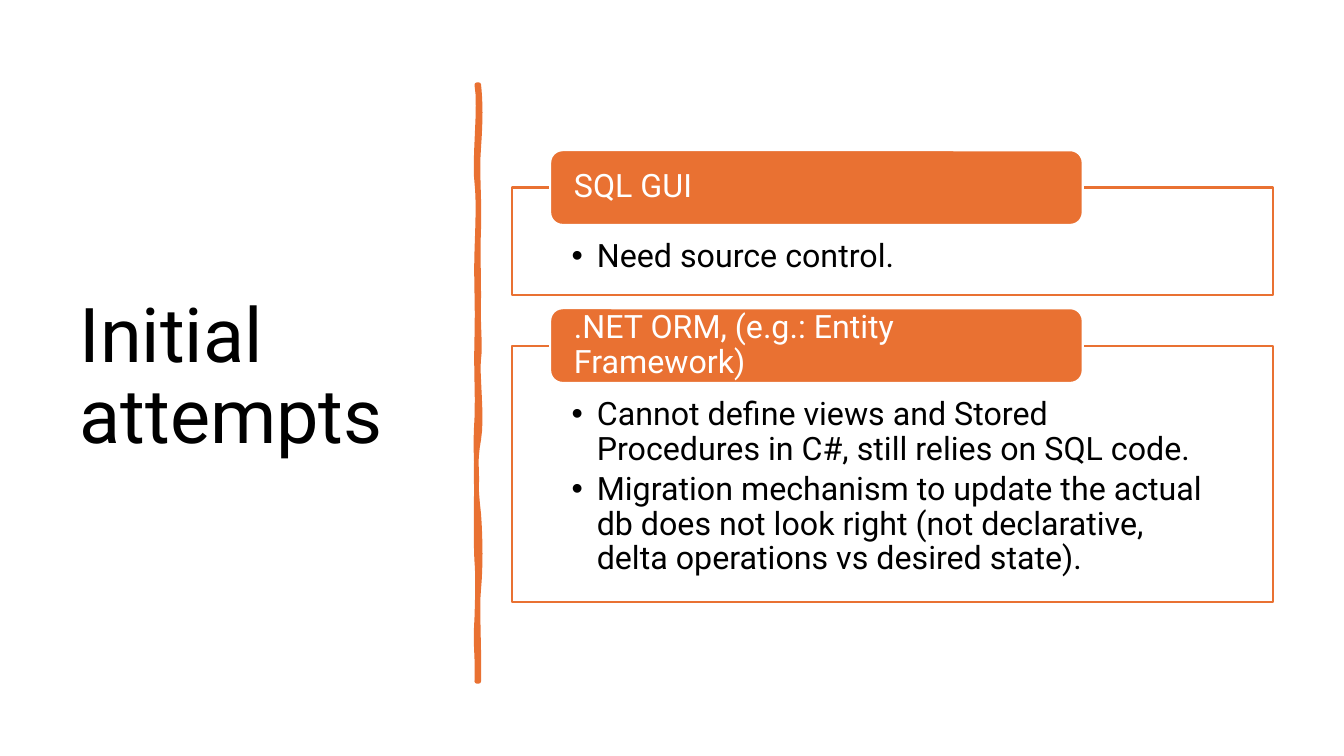
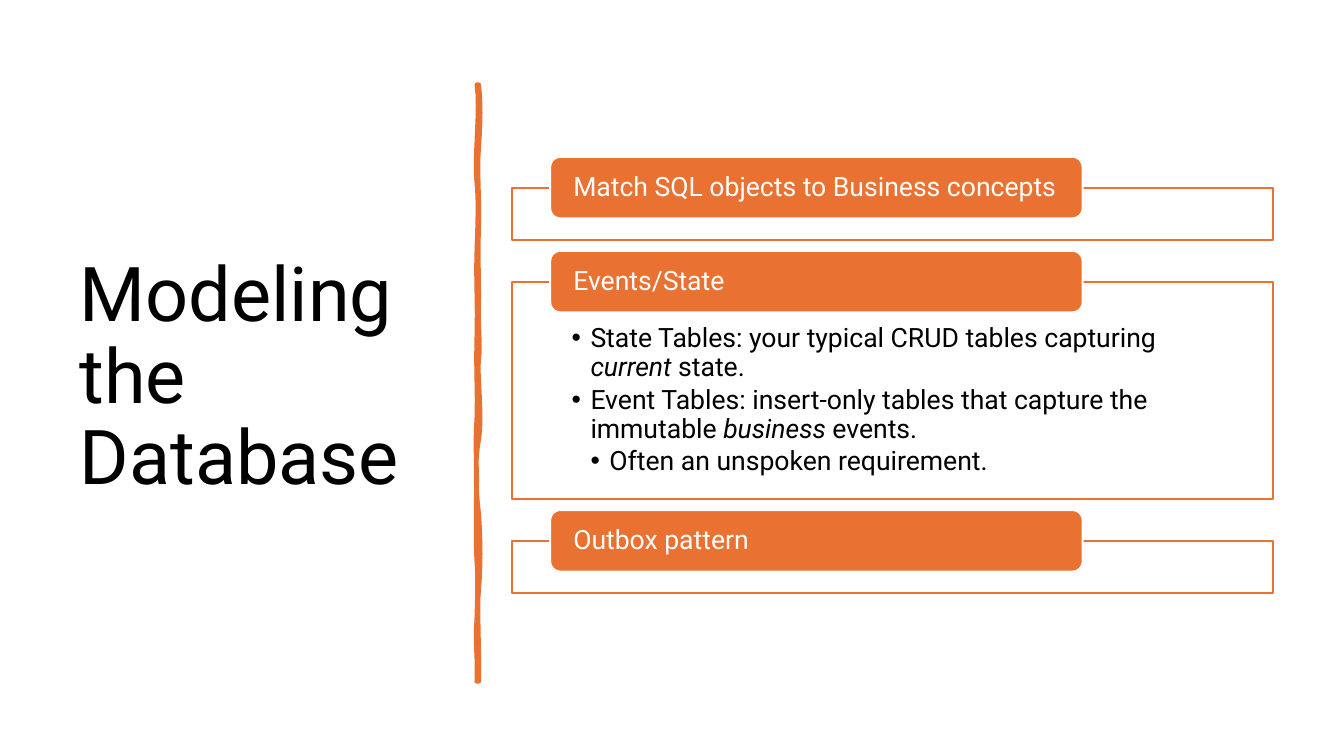
"""Build two slides: a title, a hand-drawn divider and a list of headed panels."""
from lxml import etree
from pptx import Presentation
from pptx.dml.color import RGBColor
from pptx.enum.shapes import MSO_SHAPE
from pptx.enum.text import MSO_ANCHOR, MSO_AUTO_SIZE, PP_ALIGN
from pptx.oxml.ns import qn
from pptx.util import Pt

RECT, ROUNDED = MSO_SHAPE.RECTANGLE, MSO_SHAPE.ROUNDED_RECTANGLE
TOP, MIDDLE = MSO_ANCHOR.TOP, MSO_ANCHOR.MIDDLE
LEFT = PP_ALIGN.LEFT
NO_FIT = MSO_AUTO_SIZE.NONE

FONT = "Roboto"
ORANGE, WHITE, BLACK = "E97132", "FFFFFF", "000000"

SLIDES = [
    {
        "title": "Initial attempts",
        "size": 23,
        "indent": 18,
        "sections": [
            ("SQL GUI", 77, [(1, "Need source control.")]),
            (".NET ORM, (e.g.: Entity Framework)", 183, [
                (1, "Cannot define views and Stored Procedures in C#, still relies on SQL code."),
                (1, "Migration mechanism to update the actual db does not look right "
                    "(not declarative, delta operations vs desired state)."),
            ]),
        ],
    },
    {
        "title": "Modeling the Database",
        "size": 19,
        "indent": 13.5,
        "sections": [
            ("Match SQL objects to Business concepts", 37.5, []),
            ("Events/State", 155.5, [
                (1, "State Tables: your typical CRUD tables capturing *current* state."),
                (1, "Event Tables: insert-only tables that capture the immutable *business* events."),
                (2, "Often an unspoken requirement."),
            ]),
            ("Outbox pattern", 37.5, []),
        ],
    },
]

TITLE_BOX = (49.7, 50.4, 269.3, 440)
PANEL_LEFT, PANEL_WIDTH, FIRST_PANEL_TOP = 365.8, 543.6, 134
HEADER_LEFT, HEADER_WIDTH = 393, 380.4
HEADER_RATIO, GAP_RATIO, BODY_INSET_RATIO = 2.32, 0.4, 1.63

DIVIDER_TOP = 60.5
# Bezier pieces of each edge: sway 1, y 1, sway 2, y 2, end y.
DIVIDER_EDGES = [
    (342, [
        (1.4, 73.4, 1.4, 85.7, 105.1), (-1.4, 124.6, 0.7, 140.4, 162.7),
        (-0.7, 185, 0, 188.6, 211.7), (-0.7, 234, 1.4, 246.2, 256.3),
        (-1.4, 266.4, 2.9, 298.1, 313.9), (-2.9, 329, -2.2, 348.5, 367.2),
        (1.4, 385.9, 1.4, 406.1, 420.5), (-1.4, 434.2, 0.7, 468, 486.7),
    ]),
    (340.6, [
        (0.7, 465.1, -1.4, 463.7, 441.4), (0.7, 419.8, 0.7, 410.4, 401),
        (-0.7, 391.7, -0.7, 356.4, 343.4), (0, 330.5, -1.4, 320.4, 298.8),
        (0.7, 277.9, -0.7, 268.6, 241.2), (0.7, 214.6, -0.7, 202.3, 180),
        (0.7, 157, 1.4, 144, 130.3), (-2.2, 117.4, 2.9, 74.9, 60.5),
    ]),
]
CURVE_STEPS = 8


def rgb(value):
    return RGBColor.from_string(value)


def paint(shape, fill, line, width):
    shape.shadow.inherit = False
    shape.fill.solid()
    shape.fill.fore_color.rgb = rgb(fill)
    shape.line.color.rgb = rgb(line)
    shape.line.width = Pt(width)


def add_box(slide, kind, box, fill, line):
    shape = slide.shapes.add_shape(kind, *map(Pt, box))
    paint(shape, fill, line, 1.5)
    return shape


def write(shape, items, *, size, color, anchor=MIDDLE, insets=(7.2, 3.6, 7.2, 3.6),
          indent=0, after=0):
    frame = shape.text_frame
    frame.word_wrap = True
    frame.auto_size = NO_FIT
    frame.vertical_anchor = anchor
    (frame.margin_left, frame.margin_top,
     frame.margin_right, frame.margin_bottom) = map(Pt, insets)
    for index, (level, text) in enumerate(items):
        paragraph = frame.add_paragraph() if index else frame.paragraphs[0]
        paragraph.alignment = LEFT
        paragraph.line_spacing = 0.9
        paragraph.space_before = Pt(0)
        paragraph.space_after = Pt(after)
        if level:
            add_bullet(paragraph, level, indent)
        for part, words in enumerate(text.split("*")):
            run = paragraph.add_run()
            run.text = words
            run.font.name = FONT
            run.font.size = Pt(size)
            run.font.color.rgb = rgb(color)
            run.font.italic = part % 2 == 1


def add_bullet(paragraph, level, indent):
    properties = paragraph._p.get_or_add_pPr()
    properties.set("marL", str(Pt(level * indent)))
    properties.set("indent", str(-Pt(indent)))
    etree.SubElement(properties, qn("a:buFont"), typeface="Arial")
    etree.SubElement(properties, qn("a:buChar"), char="•")


def divider_points():
    points = []
    start = DIVIDER_TOP
    for x, pieces in DIVIDER_EDGES:
        points.append((Pt(x), Pt(start)))
        for sway1, y1, sway2, y2, end in pieces:
            for step in range(1, CURVE_STEPS + 1):
                t = step / CURVE_STEPS
                u = 1 - t
                near, far = 3 * u * u * t, 3 * u * t * t
                y = u ** 3 * start + near * y1 + far * y2 + t ** 3 * end
                points.append((Pt(x + near * sway1 + far * sway2), Pt(y)))
            start = end
    return points


def add_divider(slide):
    first, *rest = divider_points()
    builder = slide.shapes.build_freeform(*first, scale=1.0)
    builder.add_line_segments(rest, close=True)
    paint(builder.convert_to_shape(), ORANGE, ORANGE, 3.25)


def add_sections(slide, sections, size, indent):
    header_height = size * HEADER_RATIO
    panel_top = FIRST_PANEL_TOP
    for heading, panel_height, bullets in sections:
        panel = add_box(slide, RECT, (PANEL_LEFT, panel_top, PANEL_WIDTH, panel_height),
                        WHITE, ORANGE)
        if bullets:
            write(panel, bullets, size=size, color=BLACK, anchor=TOP, indent=indent,
                  insets=(42.5, size * BODY_INSET_RATIO, 42.5, 11), after=size * 0.15)
        header = add_box(slide, ROUNDED, (HEADER_LEFT, panel_top - header_height / 2,
                                          HEADER_WIDTH, header_height), ORANGE, WHITE)
        write(header, [(0, heading)], size=size, color=WHITE, insets=(14.4, 0, 14.4, 0))
        panel_top += panel_height + size * GAP_RATIO + header_height / 2


def build_slide(deck, content):
    slide = deck.slides.add_slide(deck.slide_layouts[5])
    title = slide.shapes.title
    title.left, title.top, title.width, title.height = map(Pt, TITLE_BOX)
    write(title, [(0, content["title"])], size=54, color=BLACK)
    add_divider(slide)
    add_sections(slide, content["sections"], content["size"], content["indent"])


def main():
    deck = Presentation()
    deck.slide_width, deck.slide_height = Pt(960), Pt(540)
    for content in SLIDES:
        build_slide(deck, content)
    deck.save("out.pptx")


if __name__ == "__main__":
    main()
